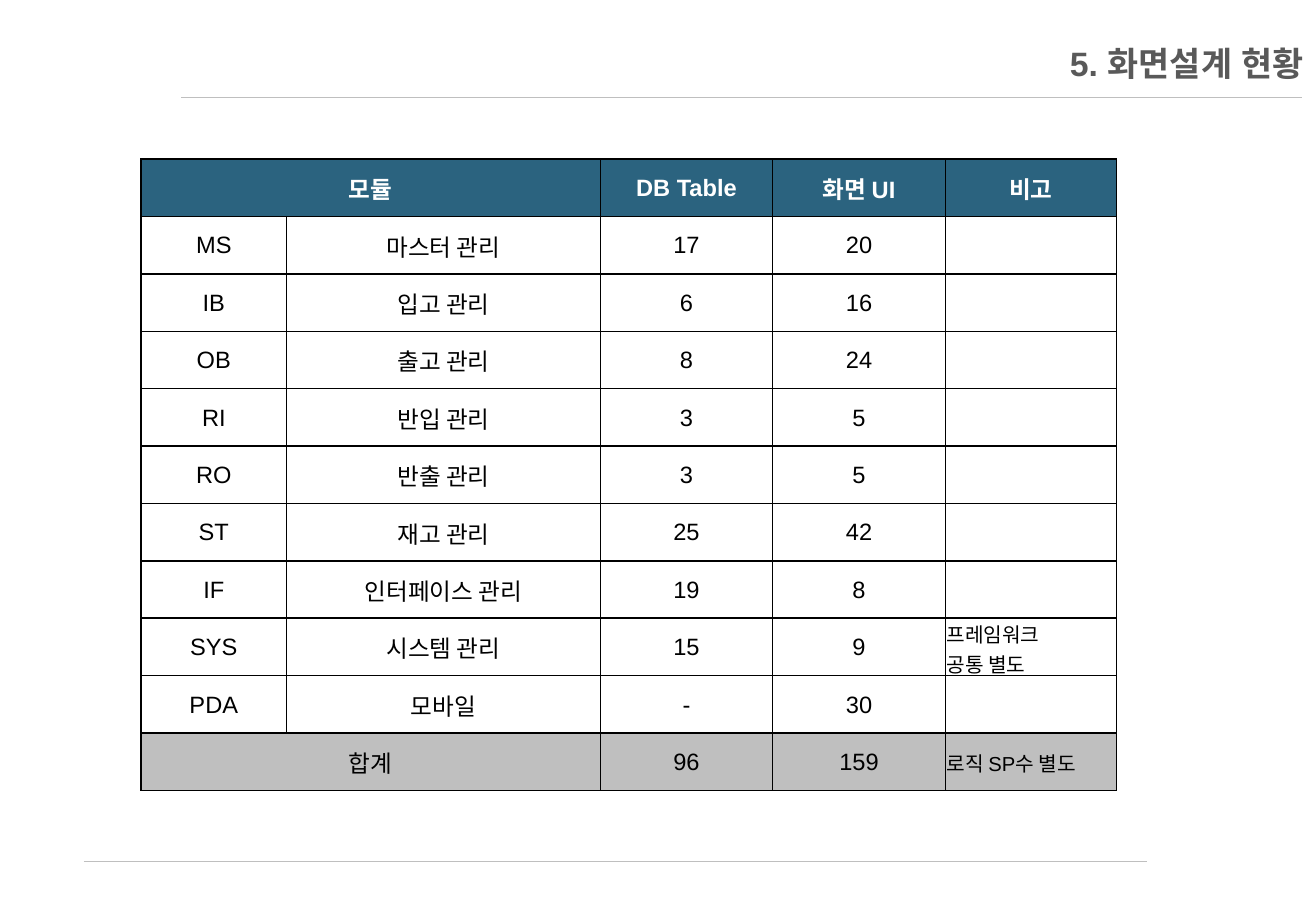
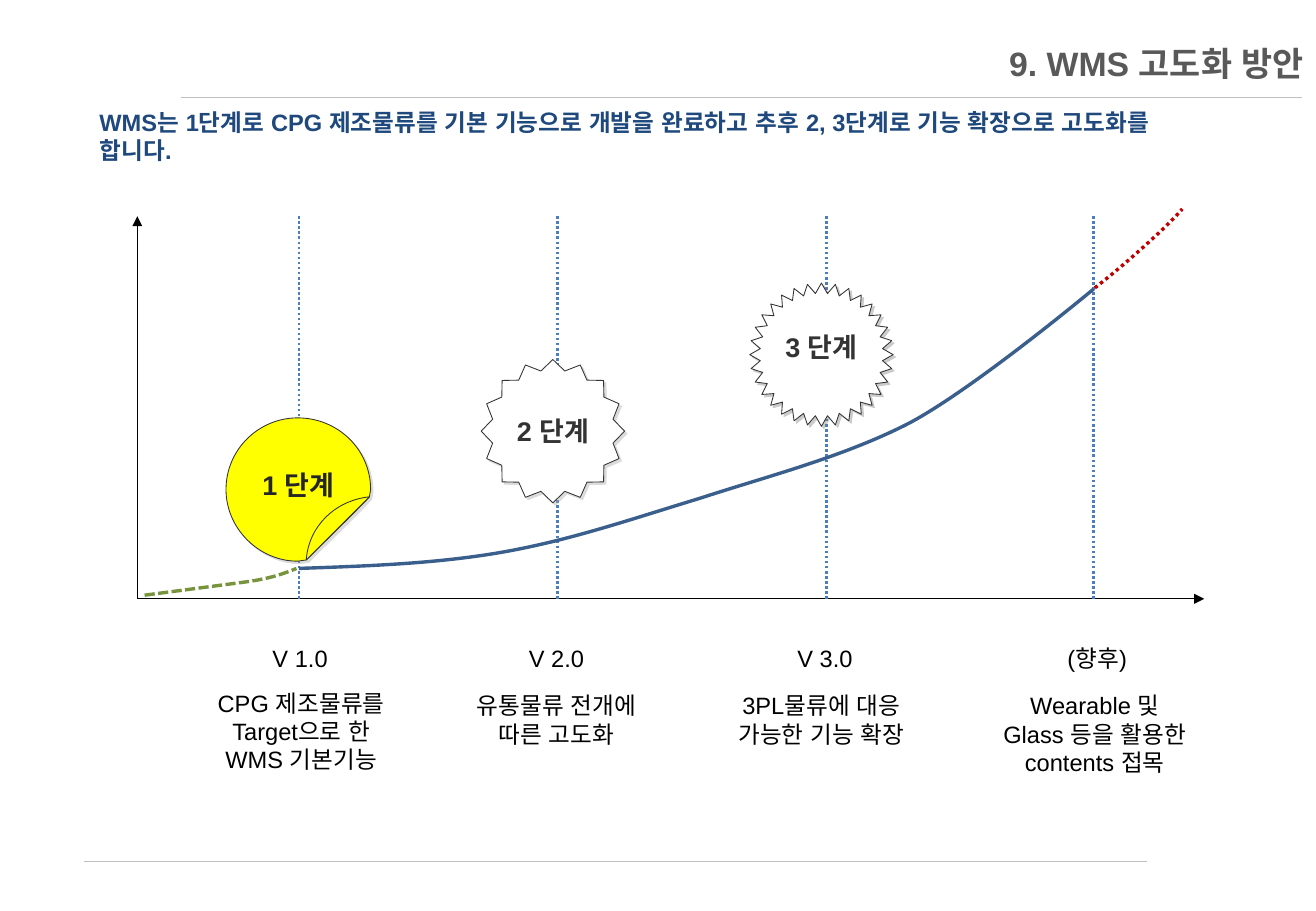
from dataclasses import dataclass

from pptx import Presentation
from pptx.dml.color import RGBColor
from pptx.enum.dml import MSO_LINE
from pptx.enum.shapes import MSO_CONNECTOR, MSO_SHAPE
from pptx.enum.text import MSO_ANCHOR, PP_ALIGN
from pptx.oxml import parse_xml
from pptx.oxml.ns import nsdecls, qn
from pptx.util import Inches, Pt

LEFT, CENTER, RIGHT = PP_ALIGN.LEFT, PP_ALIGN.CENTER, PP_ALIGN.RIGHT
TOP, MIDDLE = MSO_ANCHOR.TOP, MSO_ANCHOR.MIDDLE
DOT, DASH = MSO_LINE.ROUND_DOT, MSO_LINE.SQUARE_DOT
STRAIGHT = MSO_CONNECTOR.STRAIGHT
STAR16, STAR32 = MSO_SHAPE.STAR_16_POINT, MSO_SHAPE.STAR_32_POINT
BLANK = 6


@dataclass(frozen=True)
class Theme:
    font: str = "Arial"
    title: str = "595959"
    rule: str = "BFBFBF"
    black: str = "000000"
    white: str = "FFFFFF"
    header: str = "2B637F"
    total: str = "BFBFBF"
    lead: str = "1F497D"
    guide: str = "4B7EBC"
    growth: str = "3A5F8C"
    start: str = "77933C"
    future: str = "C00000"
    sticker: str = "FFFF00"
    outline: str = "333333"
    sticker_text: str = "262626"
    title_size: int = 20
    badge_size: int = 16
    body_size: int = 14
    note_size: int = 12


T = Theme()

MODULE_ROWS = [
    ["모듈", None, "DB Table", "화면 UI", "비고"],
    ["MS", "마스터 관리", "17", "20", ""],
    ["IB", "입고 관리", "6", "16", ""],
    ["OB", "출고 관리", "8", "24", ""],
    ["RI", "반입 관리", "3", "5", ""],
    ["RO", "반출 관리", "3", "5", ""],
    ["ST", "재고 관리", "25", "42", ""],
    ["IF", "인터페이스 관리", "19", "8", ""],
    ["SYS", "시스템 관리", "15", "9", "프레임워크\n공통 별도"],
    ["PDA", "모바일", "-", "30", ""],
    ["합계", None, "96", "159", "로직 SP수 별도"],
]

# Guide x, caption left, version, description left, top and height, description
STAGES = [
    (2.46, 1.59, "V 1.0", 1.6, 5.62, 0.81, "CPG 제조물류를 Target으로 한\nWMS 기본기능"),
    (4.59, 3.7, "V 2.0", 3.7, 5.64, 0.57, "유통물류 전개에 따른 고도화"),
    (6.8, 5.91, "V 3.0", 5.88, 5.64, 0.57, "3PL물류에 대응 가능한 기능 확장"),
    (9, 8.15, "(향후)", 8.13, 5.64, 0.81,
     "Wearable 및 Glass 등을 활용한 contents 접목"),
]

# Outlines: a start point, then line ends (2 numbers) or Bezier curves (6)
START_CURVE = [(1.19, 4.9), (2.03, 4.79), (2.24, 4.76, 2.34, 4.72, 2.44, 4.68)]
GROWTH_CURVE = [
    (2.46, 4.68),
    (3.04, 4.66, 3.62, 4.64, 4.17, 4.54),
    (4.72, 4.44, 5.21, 4.27, 5.77, 4.1),
    (6.32, 3.92, 6.95, 3.76, 7.49, 3.48),
    (8.03, 3.19, 9, 2.38, 9, 2.38),
]
FUTURE_CURVE = [
    (9.01, 2.37),
    (9.19, 2.23, 9.36, 2.08, 9.48, 1.97),
    (9.6, 1.86, 9.67, 1.79, 9.73, 1.72),
]
STICKER = [
    (2.45, 3.44),
    (2.13, 3.44, 1.86, 3.7, 1.86, 4.03),
    (1.86, 4.35, 2.13, 4.62, 2.45, 4.62),
    (2.52, 4.61),
    (2.62, 4.51, 2.95, 4.19, 3.04, 4.09),
    (3.04, 4.07, 3.05, 4.05, 3.05, 4.03),
    (3.05, 3.7, 2.78, 3.44, 2.45, 3.44),
]
STICKER_FOLD = [(3.04, 4.09), (2.76, 4.12, 2.54, 4.33, 2.52, 4.61)]


def rgb(color):
    return RGBColor.from_string(color)


# Text
def write(tf, text, size, color, bold=False, align=CENTER, spacing=None,
          east_asian=True):
    for i, line in enumerate(text.split("\n")):
        p = tf.paragraphs[0] if i == 0 else tf.add_paragraph()
        p.alignment = align
        if spacing:
            p.line_spacing = spacing
        r = p.add_run()
        r.text = line
        r.font.name = T.font
        r.font.size = Pt(size)
        r.font.bold = bold
        r.font.color.rgb = rgb(color)
        if east_asian:
            r.font._element.append(
                parse_xml(f'<a:ea {nsdecls("a")} typeface="{T.font}"/>'))


def add_text(s, box, text, size=T.body_size, color=T.black, bold=False,
             align=CENTER, anchor=TOP):
    tf = s.shapes.add_textbox(*map(Inches, box)).text_frame
    tf.word_wrap = True
    tf.vertical_anchor = anchor
    write(tf, text, size, color, bold, align)


# Lines and outlines
def style_line(line, color, width, dash=None):
    line.color.rgb = rgb(color)
    line.width = Pt(width)
    if dash:
        line.dash_style = dash


def add_line(s, start, end, color, width, dash=None, arrow=False):
    c = s.shapes.add_connector(STRAIGHT, *map(Inches, (*start, *end)))
    style_line(c.line, color, width, dash)
    spPr = c._element.spPr
    if arrow:
        spPr.find(qn("a:ln")).append(
            parse_xml(f'<a:tailEnd {nsdecls("a")} type="triangle"/>'))
    spPr.append(parse_xml(f'<a:effectLst {nsdecls("a")}/>'))
    return c


def bend(sp, outline):
    """Join the three points of each Bezier part into one curve."""
    segments = iter(list(sp._element.iter(qn("a:lnTo"))))
    for part in outline[1:]:
        first = next(segments)
        if len(part) == 2:
            continue
        curve = parse_xml(f'<a:cubicBezTo {nsdecls("a")}/>')
        first.addprevious(curve)
        for segment in (first, next(segments), next(segments)):
            curve.append(segment[0])
            segment.getparent().remove(segment)


def add_outline(s, outline, color, width, dash=None, fill=None):
    points = [(Inches(x), Inches(y)) for part in outline
              for x, y in zip(part[::2], part[1::2])]
    builder = s.shapes.build_freeform(*points[0])
    builder.add_line_segments(points[1:], close=fill is not None)
    sp = builder.convert_to_shape()
    bend(sp, outline)
    sp.shadow.inherit = False
    if fill:
        sp.fill.solid()
        sp.fill.fore_color.rgb = rgb(fill)
    else:
        sp.fill.background()
    style_line(sp.line, color, width, dash)
    return sp


# Stage badges
def add_shadow(sp, color):
    sp.shadow.inherit = False
    sp._element.spPr.find(qn("a:effectLst")).append(parse_xml(
        f'<a:outerShdw {nsdecls("a")} blurRad="0" dist="{Pt(2)}" dir="2700000" '
        f'algn="tl" rotWithShape="0"><a:srgbClr val="{color}">'
        f'<a:alpha val="40000"/></a:srgbClr></a:outerShdw>'))


def label_badge(sp, text, color, shadow, spacing=None):
    add_shadow(sp, shadow)
    tf = sp.text_frame
    tf.margin_left = tf.margin_right = tf.margin_top = tf.margin_bottom = 0
    tf.word_wrap = False
    tf.vertical_anchor = MIDDLE
    write(tf, text, T.badge_size, color, True, spacing=spacing)


def add_star(s, kind, left, top, text, shadow, spacing=None):
    sp = s.shapes.add_shape(kind, *map(Inches, (left, top, 1.18, 1.18)))
    sp.adjustments[0] = 0.428
    sp.fill.solid()
    sp.fill.fore_color.rgb = rgb(T.white)
    style_line(sp.line, T.outline, 0.5)
    label_badge(sp, text, T.outline, shadow, spacing)


# Table
def format_cell(cell, fill):
    cell.margin_left = cell.margin_right = cell.margin_top = Inches(0.01)
    cell.margin_bottom = 0
    cell.vertical_anchor = MIDDLE
    if fill:
        cell.fill.solid()
        cell.fill.fore_color.rgb = rgb(fill)
    else:
        cell.fill.background()
    tcPr = cell._tc.get_or_add_tcPr()
    for i, side in enumerate("LRTB"):
        tcPr.insert(i, parse_xml(
            f'<a:ln{side} {nsdecls("a")} w="{Pt(1)}"><a:solidFill>'
            f'<a:srgbClr val="{T.black}"/></a:solidFill></a:ln{side}>'))


def add_module_table(s, rows, left, top, widths, height):
    frame = s.shapes.add_table(len(rows), len(widths), Inches(left), Inches(top),
                               Inches(sum(widths)), Inches(height))
    table = frame.table
    table.first_row = table.horz_banding = False
    for col, width in zip(table.columns, widths):
        col.width = Inches(width)
    fills = {0: T.header, len(rows) - 1: T.total}
    for i, row in enumerate(rows):
        table.rows[i].height = Inches(height / len(rows))
        header = i == 0
        for j, text in enumerate(row):
            cell = table.cell(i, j)
            format_cell(cell, fills.get(i))
            note = j == len(row) - 1 and not header
            if text is None:
                table.cell(i, j - 1).merge(cell)
            elif text:
                write(cell.text_frame, text,
                      T.note_size if note else T.body_size,
                      T.white if header else T.black, header,
                      LEFT if note else CENTER, east_asian=False)


# Slides
def add_layout_rules(prs, s):
    """Move the top and bottom rules to the layout that all slides share."""
    tree = prs.slide_layouts[BLANK].shapes._spTree
    for start, end in (((1.49, 0.8), (10.71, 0.8)), ((0.69, 7.09), (9.43, 7.09))):
        tree.append(add_line(s, start, end, T.rule, 0.25, DOT)._element)


def new_slide(prs, title):
    s = prs.slides.add_slide(prs.slide_layouts[BLANK])
    if len(prs.slides) == 1:
        add_layout_rules(prs, s)
    add_text(s, (1.08, 0.29, 9.75, 0.45), title, T.title_size, T.title, True,
             RIGHT, MIDDLE)
    return s


def build_status(prs):
    s = new_slide(prs, "5. 화면설계 현황")
    add_module_table(s, MODULE_ROWS, 1.16, 1.31, [1.2, 2.58, 1.42, 1.42, 1.41], 5.2)


def build_roadmap(prs):
    s = new_slide(prs, "9. WMS 고도화 방안")

    # Axes and guides
    top, base = 1.78, 4.93
    for end in ((9.91, base), (1.13, top)):
        add_line(s, (1.13, base), end, T.black, 0.75, arrow=True)
    for x, *_ in STAGES:
        add_line(s, (x, top), (x, base), T.guide, 1.5, DOT)

    # Badges and growth curve
    sticker = add_outline(s, STICKER, T.outline, 0.5, fill=T.sticker)
    label_badge(sticker, "1 단계", T.sticker_text, "A6A6A6", Pt(13))
    add_outline(s, STICKER_FOLD, T.outline, 0.5, fill=T.sticker)
    add_star(s, STAR16, 3.96, 2.96, "2 단계", "A6A6A6")
    add_outline(s, START_CURVE, T.start, 2, DASH)
    add_outline(s, GROWTH_CURVE, T.growth, 2)
    add_star(s, STAR32, 6.17, 2.33, "3 단계", "7F7F7F", Pt(10))
    add_outline(s, FUTURE_CURVE, T.future, 2, DOT)

    # Captions and lead sentence
    for _, left, version, text_left, text_top, height, text in STAGES:
        add_text(s, (left, 5.25, 1.76, 0.34), version)
        add_text(s, (text_left, text_top, 1.76, height), text)
    add_text(s, (0.72, 0.84, 9.36, 0.57),
             "WMS는 1단계로 CPG 제조물류를 기본 기능으로 개발을 완료하고 추후 "
             "2, 3단계로 기능 확장으로 고도화를 합니다.",
             color=T.lead, bold=True, align=LEFT)


def main():
    prs = Presentation()
    prs.slide_width, prs.slide_height = Inches(10.83), Inches(7.5)
    build_status(prs)
    build_roadmap(prs)
    prs.save("out.pptx")


if __name__ == "__main__":
    main()
